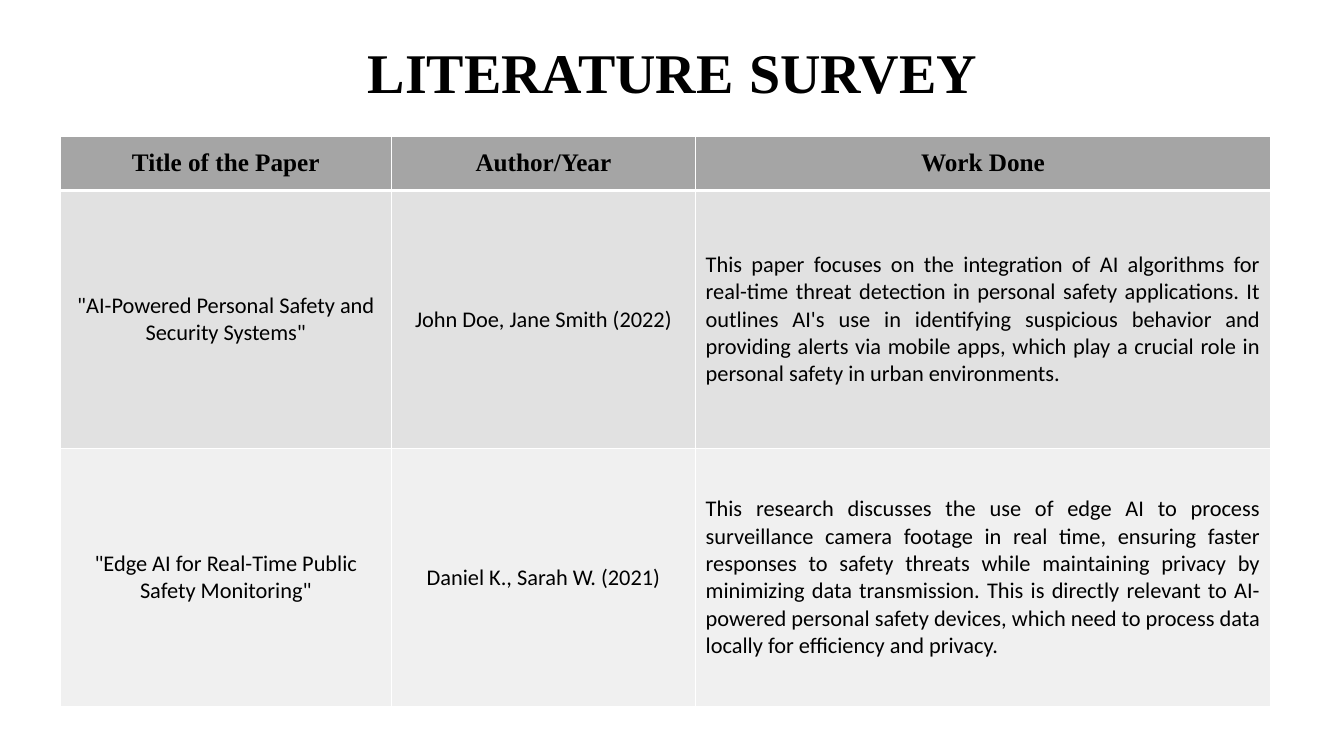
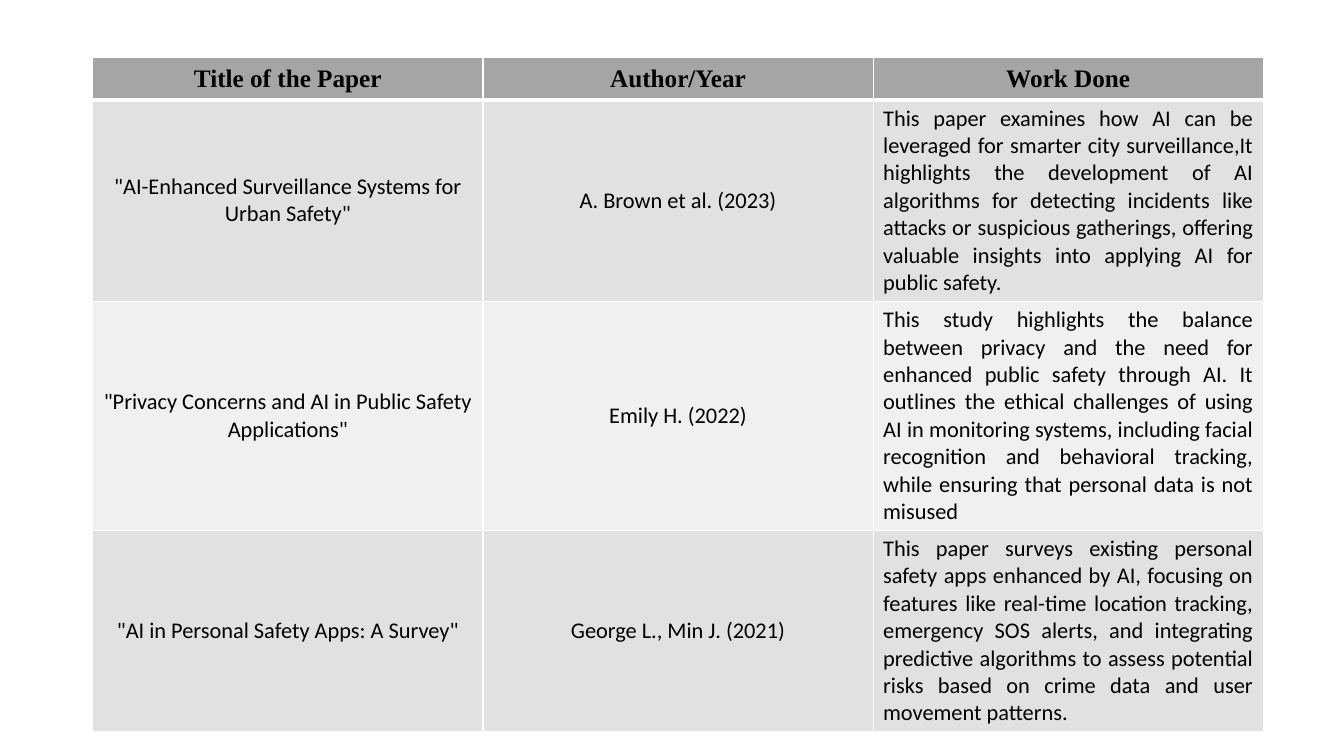
from dataclasses import dataclass

from lxml import etree
from pptx import Presentation
from pptx import util as u
from pptx.dml.color import RGBColor
from pptx.enum import text
from pptx.oxml import ns

PX = 9144  # EMU per px, 100 px to the inch
BLACK, WHITE = "000000", "FFFFFF"
HEADER_FILL = "A5A5A5"
BAND_FILLS = ("E1E1E1", "F0F0F0")
SERIF, SANS = "Times New Roman", "Calibri"
CENTER, JUSTIFY = text.PP_ALIGN.CENTER, text.PP_ALIGN.JUSTIFY
HEADINGS = ("Title of the Paper", "Author/Year", "Work Done")


@dataclass(frozen=True)
class Paper:
    title: str
    author: str
    work: str


@dataclass(frozen=True)
class Survey:
    left: int
    top: int
    cols: tuple[int, ...]
    rows: tuple[int, ...]
    papers: tuple[Paper, ...]
    heading: str = ""


SURVEYS = (
    Survey(60, 135, (328, 302, 570), (54, 256, 256), (
        Paper('"AI-Powered Personal Safety and Security Systems"',
              "John Doe, Jane Smith (2022)",
              "This paper focuses on the integration of AI algorithms for real-time threat "
              "detection in personal safety applications. It outlines AI's use in identifying "
              "suspicious behavior and providing alerts via mobile apps, which play a crucial "
              "role in personal safety in urban environments."),
        Paper('"Edge AI for Real-Time Public Safety Monitoring"',
              "Daniel K., Sarah W. (2021)",
              "This research discusses the use of edge AI to process surveillance camera "
              "footage in real time, ensuring faster responses to safety threats while "
              "maintaining privacy by minimizing data transmission. This is directly relevant "
              "to AI-powered personal safety devices, which need to process data locally for "
              "efficiency and privacy."),
    ), heading="LITERATURE SURVEY"),
    Survey(92, 57, (387,) * 3, (42, 200, 227, 200), (
        Paper('"AI-Enhanced Surveillance Systems for Urban Safety"',
              "A. Brown et al. (2023)",
              "This paper examines how AI can be leveraged for smarter city surveillance,It "
              "highlights the development of AI algorithms for detecting incidents like "
              "attacks or suspicious gatherings, offering valuable insights into applying AI "
              "for public safety."),
        Paper('"Privacy Concerns and AI in Public Safety Applications"',
              "Emily H. (2022)",
              "This study highlights the balance between privacy and the need for enhanced "
              "public safety through AI. It outlines the ethical challenges of using AI in "
              "monitoring systems, including facial recognition and behavioral tracking, "
              "while ensuring that personal data is not misused"),
        Paper('"AI in Personal Safety Apps: A Survey"',
              "George L., Min J. (2021)",
              "This paper surveys existing personal safety apps enhanced by AI, focusing on "
              "features like real-time location tracking, emergency SOS alerts, and "
              "integrating predictive algorithms to assess potential risks based on crime "
              "data and user movement patterns."),
    )),
)


def px(n: int) -> u.Emu:
    return u.Emu(n * PX)


def rgb(color: str) -> RGBColor:
    return RGBColor.from_string(color)


def write(tf, words: str, *, size: int = 16, font: str = SANS, bold: bool = False,
          color: str = BLACK, align=CENTER, spacing: float = 1.0) -> None:
    """Append a formatted run to the first paragraph."""
    p = tf.paragraphs[0]
    p.alignment, p.line_spacing = align, spacing
    r = p.add_run()
    r.text = words
    r.font.size, r.font.name, r.font.bold = u.Pt(size), font, bold
    r.font.color.rgb = rgb(color)


def add_borders(cell, top: int, bottom: int) -> None:
    """Draw white borders; widths are in points, 1 pt at the sides."""
    tc_pr = cell._tc.get_or_add_tcPr()
    for i, (side, width) in enumerate((("L", 1), ("R", 1), ("T", top), ("B", bottom))):
        ln = etree.Element(ns.qn(f"a:ln{side}"), w=str(u.Pt(width)))
        fill = etree.SubElement(ln, ns.qn("a:solidFill"))
        etree.SubElement(fill, ns.qn("a:srgbClr"), val=WHITE)
        tc_pr.insert(i, ln)


def add_title(slide, heading: str) -> None:
    tf = slide.shapes.add_textbox(px(92), px(25), px(1150), px(95)).text_frame
    tf.word_wrap = True
    tf.vertical_anchor = text.MSO_ANCHOR.MIDDLE
    first, gap, last = heading.partition(" ")
    for words, size in ((first, 40), (gap, 44), (last, 40)):
        write(tf, words, size=size, font=SERIF, bold=True, spacing=0.9)


def add_survey_table(slide, survey: Survey) -> None:
    table = slide.shapes.add_table(
        len(survey.rows), len(survey.cols), px(survey.left), px(survey.top),
        px(sum(survey.cols)), px(sum(survey.rows))).table
    for column, width in zip(table.columns, survey.cols):
        column.width = px(width)
    for row, height in zip(table.rows, survey.rows):
        row.height = px(height)

    lines = [HEADINGS] + [(q.title, q.author, q.work) for q in survey.papers]
    for i, line in enumerate(lines):
        header = i == 0
        for j, words in enumerate(line):
            cell = table.cell(i, j)
            cell.vertical_anchor = text.MSO_ANCHOR.MIDDLE
            cell.fill.solid()
            cell.fill.fore_color.rgb = rgb(HEADER_FILL if header else BAND_FILLS[(i - 1) % 2])
            add_borders(cell, top=3 if i == 1 else 1, bottom=3 if header else 1)
            if header:
                write(cell.text_frame, words, size=18, font=SERIF, bold=True)
            else:
                write(cell.text_frame, words, align=JUSTIFY if j == 2 else CENTER)


def main() -> None:
    prs = Presentation()
    prs.slide_width, prs.slide_height = px(1333), px(750)
    for survey in SURVEYS:
        slide = prs.slides.add_slide(prs.slide_layouts[6])
        if survey.heading:
            add_title(slide, survey.heading)
        add_survey_table(slide, survey)
    prs.save("out.pptx")


if __name__ == "__main__":
    main()
